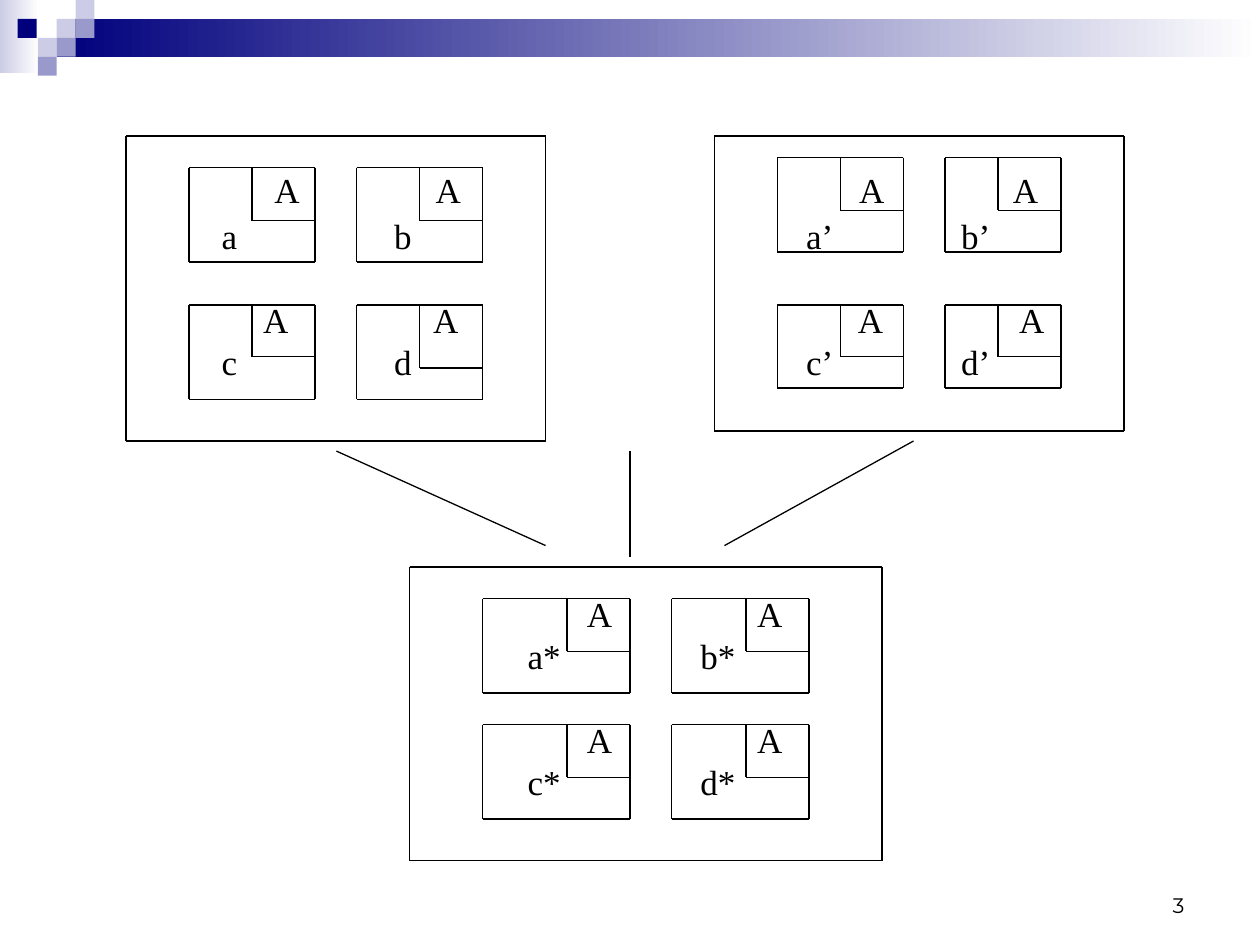
from dataclasses import dataclass
from itertools import product

import pptx
import pptx.dml.color
import pptx.enum.shapes
import pptx.enum.text
import pptx.oxml.ns
import pptx.util
from lxml import etree
from pptx.util import Inches

COLORS = {
    "ink": "000000",
    "navy": "00007D",
    "violet": "9999CC",
    "lilac": "CCCCE6",
    "white": "FFFFFF",
}
BLOCK = 0.15


@dataclass(frozen=True)
class Column:
    left: float
    right: float
    notch: float


@dataclass(frozen=True)
class Row:
    """Cell edges, and the depth of the corner notch in each column."""
    top: float
    bottom: float
    notches: tuple[float, float]


@dataclass(frozen=True)
class Panel:
    frame: tuple[float, float, float, float]
    columns: tuple[Column, Column]
    rows: tuple[Row, Row]


@dataclass(frozen=True)
class LabelLine:
    """Labels set at tab stops; a stop of 0 is the left margin."""
    labels: tuple[str, ...]
    stops: tuple[float, ...]
    space_before: float


PANELS = (
    Panel((1, 1.08, 4.33, 3.5),
          (Column(1.5, 2.5, 2), Column(2.83, 3.83, 3.33)),
          (Row(1.33, 2.08, (1.75, 1.75)), Row(2.42, 3.17, (2.83, 2.92)))),
    Panel((5.67, 1.08, 8.92, 3.42),
          (Column(6.17, 7.17, 6.67), Column(7.5, 8.42, 7.92)),
          (Row(1.25, 2, (1.67, 1.67)), Row(2.42, 3.08, (2.83, 2.83)))),
    Panel((3.25, 4.5, 7, 6.83),
          (Column(3.83, 5, 4.5), Column(5.33, 6.42, 5.92)),
          (Row(4.75, 5.5, (5.17, 5.17)), Row(5.75, 6.5, (6.17, 6.17)))),
)
LINKS = ((7.25, 3.5, 5.75, 4.33), (5, 3.58, 5, 4.42), (2.67, 3.58, 4.33, 4.33))

PARENT_STOPS = (0, 1.37, 4.64, 5.87)
CHILD_STOPS = (2.43, 3.8)
SHARED_CHILD_STOPS = (2.9, 4.25)
LABEL_LINES = (
    LabelLine(("A",) * 4, (0.42, 1.7, 5.06, 6.28), 0),
    LabelLine(("a", "b", "a’", "b’"), PARENT_STOPS, 2),
    LabelLine(("A",) * 4, (0.33, 1.68, 5.05, 6.33), 24),
    LabelLine(("c", "d", "c’", "d’"), PARENT_STOPS, 0),
    LabelLine(("A",) * 2, SHARED_CHILD_STOPS, 120),
    LabelLine(("a*", "b*"), CHILD_STOPS, 0),
    LabelLine(("A",) * 2, SHARED_CHILD_STOPS, 24),
    LabelLine(("c*", "d*"), CHILD_STOPS, 0),
)
BANDS = (
    ((0, 0, 0.31, 0.58), "lilac"),
    ((0.45, 0.15, 9.55, 0.3), "navy"),
)
MOSAIC = (
    (0.45, 0.15, "lilac"), (0.6, 0, "lilac"), (0.6, 0.15, "violet"),
    (0.3, 0.3, "lilac"), (0.14, 0.15, "navy"), (0.45, 0.3, "violet"),
    (0.3, 0.45, "violet"),
)


def rgb(name: str) -> pptx.dml.color.RGBColor:
    return pptx.dml.color.RGBColor.from_string(COLORS[name])


def apply_format(target, values: dict) -> None:
    for attribute, value in values.items():
        setattr(target, attribute, value)


def format_font(font, face: str, size: float) -> None:
    apply_format(font, {"name": face, "size": pptx.util.Pt(size)})
    font.color.rgb = rgb("ink")


def add_block(slide, box: tuple[float, ...], color: str, fade: bool = False) -> None:
    """Add a borderless rectangle, optionally fading to white on the right."""
    block = slide.shapes.add_shape(
        pptx.enum.shapes.MSO_SHAPE.RECTANGLE, *map(Inches, box))
    block.shadow.inherit = False
    block.line.fill.background()
    if fade:
        block.fill.gradient()
        block.fill.gradient_angle = 0
        for stop, stop_color in zip(block.fill.gradient_stops, (color, "white")):
            stop.color.rgb = rgb(stop_color)
    else:
        block.fill.solid()
        block.fill.fore_color.rgb = rgb(color)


def add_line(slide, x1: float, y1: float, x2: float, y2: float) -> None:
    line = slide.shapes.add_connector(
        pptx.enum.shapes.MSO_CONNECTOR.STRAIGHT, *map(Inches, (x1, y1, x2, y2)))
    line.line.color.rgb = rgb("ink")
    line.line.width = pptx.util.Pt(0.75)
    etree.SubElement(line._element.spPr, pptx.oxml.ns.qn("a:effectLst"))


def add_frame(slide, left: float, top: float, right: float, bottom: float) -> None:
    for y in (top, bottom):
        add_line(slide, left, y, right, y)
    for x in (left, right):
        add_line(slide, x, top, x, bottom)


def add_panel(slide, panel: Panel) -> None:
    add_frame(slide, *panel.frame)
    for row, (index, column) in product(panel.rows, enumerate(panel.columns)):
        depth = row.notches[index]
        add_frame(slide, column.left, row.top, column.right, row.bottom)
        add_line(slide, column.notch, row.top, column.notch, depth)
        add_line(slide, column.notch, depth, column.right, depth)


def add_labels(slide) -> None:
    labels = slide.shapes.add_textbox(*map(Inches, (1.66, 0.83, 6.85, 5.57)))
    frame = labels.text_frame
    apply_format(frame, {"word_wrap": True, "margin_top": Inches(0.51)})
    for index, line in enumerate(LABEL_LINES):
        paragraph = frame.add_paragraph() if index else frame.paragraphs[0]
        apply_format(paragraph, {"line_spacing": pptx.util.Pt(24)})
        if index:
            paragraph.space_before = pptx.util.Pt(line.space_before)
        tabs = etree.SubElement(
            paragraph._p.get_or_add_pPr(), pptx.oxml.ns.qn("a:tabLst"))
        for stop in filter(None, line.stops):
            etree.SubElement(tabs, pptx.oxml.ns.qn("a:tab"),
                             pos=str(Inches(stop)), algn="l")
        run = paragraph.add_run()
        run.text = ("\t" if line.stops[0] else "") + "\t".join(line.labels)
        format_font(run.font, "Times New Roman", 20)


def add_slide_number(slide) -> None:
    number = slide.shapes.add_textbox(*map(Inches, (7.17, 6.83, 2.33, 0.5)))
    frame = number.text_frame
    apply_format(frame, {
        "word_wrap": True,
        "vertical_anchor": pptx.enum.text.MSO_ANCHOR.BOTTOM,
    })
    paragraph = frame.paragraphs[0]
    paragraph.alignment = pptx.enum.text.PP_ALIGN.RIGHT
    run = paragraph.add_run()
    run.text = "3"
    format_font(run.font, "Montserrat", 12)


def main() -> None:
    deck = pptx.Presentation()
    apply_format(deck, {"slide_width": Inches(10), "slide_height": Inches(7.5)})
    slide = deck.slides.add_slide(deck.slide_layouts[6])
    for box, color in BANDS:
        add_block(slide, box, color, fade=True)
    for left, top, color in MOSAIC:
        add_block(slide, (left, top, BLOCK, BLOCK), color)
    add_slide_number(slide)
    add_labels(slide)
    for panel in PANELS:
        add_panel(slide, panel)
    for link in LINKS:
        add_line(slide, *link)
    deck.save("out.pptx")


if __name__ == "__main__":
    main()
